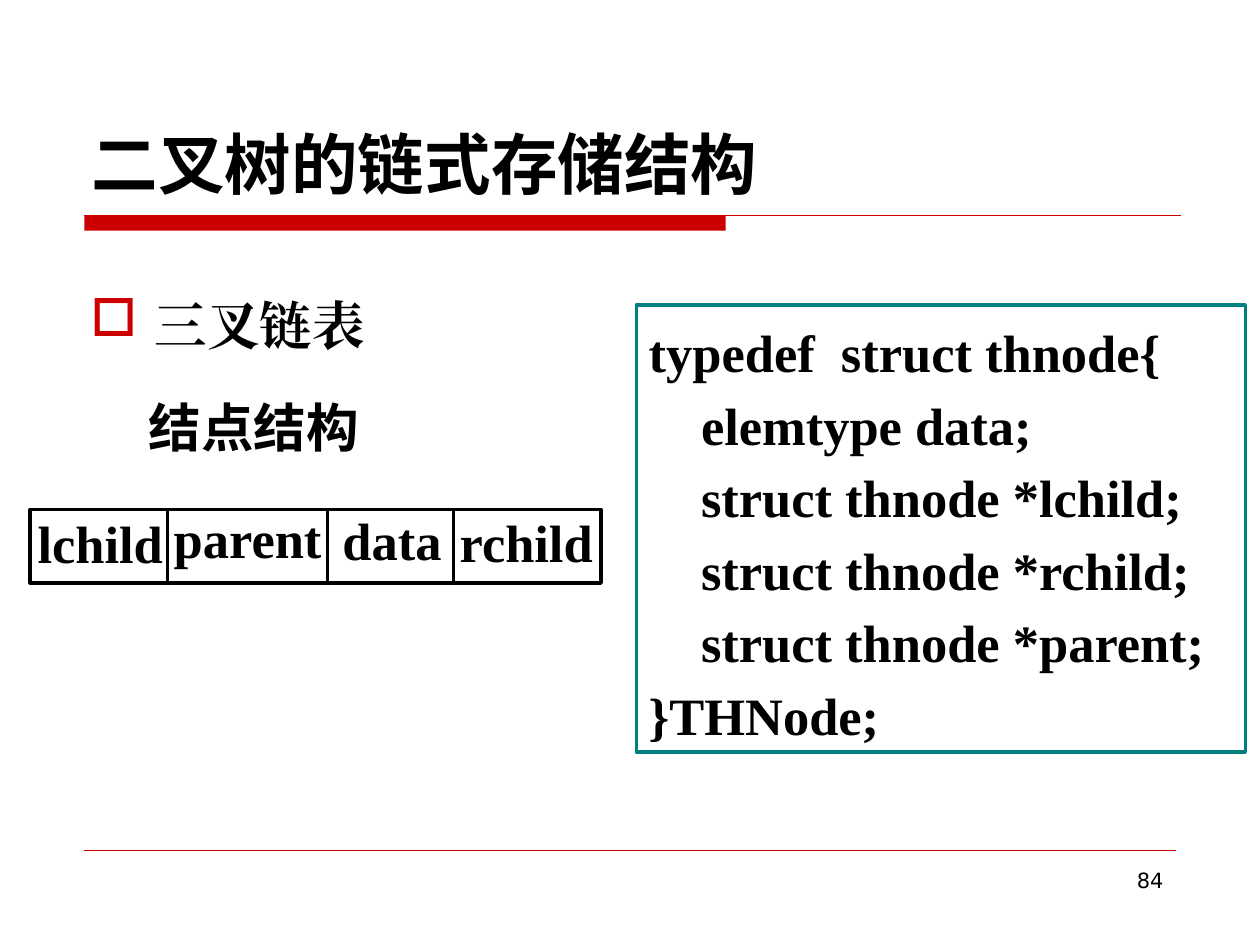
from lxml import etree
from pptx import Presentation
from pptx.dml.color import RGBColor
from pptx.enum.shapes import MSO_CONNECTOR, MSO_SHAPE
from pptx.enum.text import MSO_ANCHOR, PP_ALIGN
from pptx.oxml.ns import qn
from pptx.util import Pt

RECTANGLE = MSO_SHAPE.RECTANGLE
STRAIGHT = MSO_CONNECTOR.STRAIGHT
TOP, BOTTOM = MSO_ANCHOR.TOP, MSO_ANCHOR.BOTTOM
LEFT, RIGHT = PP_ALIGN.LEFT, PP_ALIGN.RIGHT

COLORS = {"accent": "CC0000", "code": "008080", "ink": "000000"}
SANS, SERIF = "DejaVu Sans", "Times New Roman"


def color(key):
    return RGBColor.from_string(COLORS[key])


class SlideBuilder:
    def __init__(self, slide):
        self.slide = slide
        self.shapes = slide.shapes

    def fill_text(self, frame, lines, size=30, font=SERIF, bold=True,
                  anchor=TOP, wrap=True, **formats):
        frame.word_wrap = wrap
        frame.vertical_anchor = anchor
        frame.text = "\n".join(lines)
        for paragraph in frame.paragraphs:
            for attribute, value in ({"alignment": LEFT} | formats).items():
                setattr(paragraph, attribute, value)
            for run in paragraph.runs:
                style = {"size": Pt(size), "bold": bold, "name": font}
                for attribute, value in style.items():
                    setattr(run.font, attribute, value)
                run.font.color.rgb = color("ink")
                east_asian = etree.SubElement(run._r.get_or_add_rPr(), qn("a:ea"))
                east_asian.set("typeface", font)

    def text(self, left, top, width, height, line, **formats):
        box = self.shapes.add_textbox(Pt(left), Pt(top), Pt(width), Pt(height))
        self.fill_text(box.text_frame, [line], **formats)
        return box.text_frame.paragraphs[0]

    def bullet(self, paragraph, mark, indent):
        """Give the paragraph a coloured mark and a hanging indent in points."""
        properties = paragraph._p.get_or_add_pPr()
        properties.set("marL", str(Pt(indent)))
        properties.set("indent", str(-Pt(indent)))
        mark_color = etree.SubElement(properties, qn("a:buClr"))
        etree.SubElement(mark_color, qn("a:srgbClr")).set("val", COLORS["accent"])
        etree.SubElement(properties, qn("a:buChar")).set("char", mark)

    def rectangle(self, left, top, width, height, fill=None, outline=None):
        shape = self.shapes.add_shape(
            RECTANGLE, Pt(left), Pt(top), Pt(width), Pt(height))
        shape.shadow.inherit = False
        if fill:
            shape.fill.solid()
            shape.fill.fore_color.rgb = color(fill)
        else:
            shape.fill.background()
        if outline:
            shape.line.color.rgb = color(outline)
            shape.line.width = Pt(2)
        else:
            shape.line.fill.background()
        return shape

    def line(self, x1, y1, x2, y2, stroke, weight):
        connector = self.shapes.add_connector(
            STRAIGHT, Pt(x1), Pt(y1), Pt(x2), Pt(y2))
        connector.line.color.rgb = color(stroke)
        connector.line.width = Pt(weight)
        etree.SubElement(connector._element.spPr, qn("a:effectLst"))


def main():
    presentation = Presentation()
    presentation.slide_width, presentation.slide_height = Pt(720), Pt(540)
    builder = SlideBuilder(
        presentation.slides.add_slide(presentation.slide_layouts[6]))

    builder.rectangle(48.2, 123.1, 366.5, 8.8, fill="accent")
    builder.line(48.2, 123.1, 674.6, 123.1, "accent", 0.75)
    builder.line(48.2, 486, 672, 486, "accent", 0.25)
    builder.text(516, 492, 156, 37.4, "84", size=12, font=SANS, bold=False,
                 alignment=RIGHT)

    builder.text(45.4, 23.8, 630, 95.8, "二叉树的链式存储结构",
                 size=38, font=SANS, anchor=BOTTOM)
    topic = builder.text(44.6, 154.8, 604.8, 319, "三叉链表", line_spacing=1.25)
    builder.bullet(topic, "□", 36.7)
    builder.text(78, 222, 150, 43.2, "结点结构", font=SANS)

    code = builder.rectangle(363.6, 174.2, 348, 255.6, outline="code")
    builder.fill_text(code.text_frame, [
        "typedef  struct thnode{",
        "    elemtype data;",
        "    struct thnode *lchild;",
        "    struct thnode *rchild;",
        "    struct thnode *parent;",
        "}THNode;",
    ], line_spacing=1.15)

    node_top, node_height = 291.2, 42
    builder.rectangle(17.3, node_top, 326.2, node_height, outline="ink")
    for divider in (95.8, 187.2, 259.2):
        builder.line(divider, node_top, divider, node_top + node_height, "ink", 2)
    fields = [("lchild", 14.4, 288.7, 92.9), ("parent", 92.2, 285.8, 108),
              ("data", 188.6, 286.6, 81.4), ("rchild", 255.6, 288, 92.9)]
    for field, left, top, width in fields:
        builder.text(left, top, width, 43.2, field, wrap=False)

    presentation.save("out.pptx")


if __name__ == "__main__":
    main()
